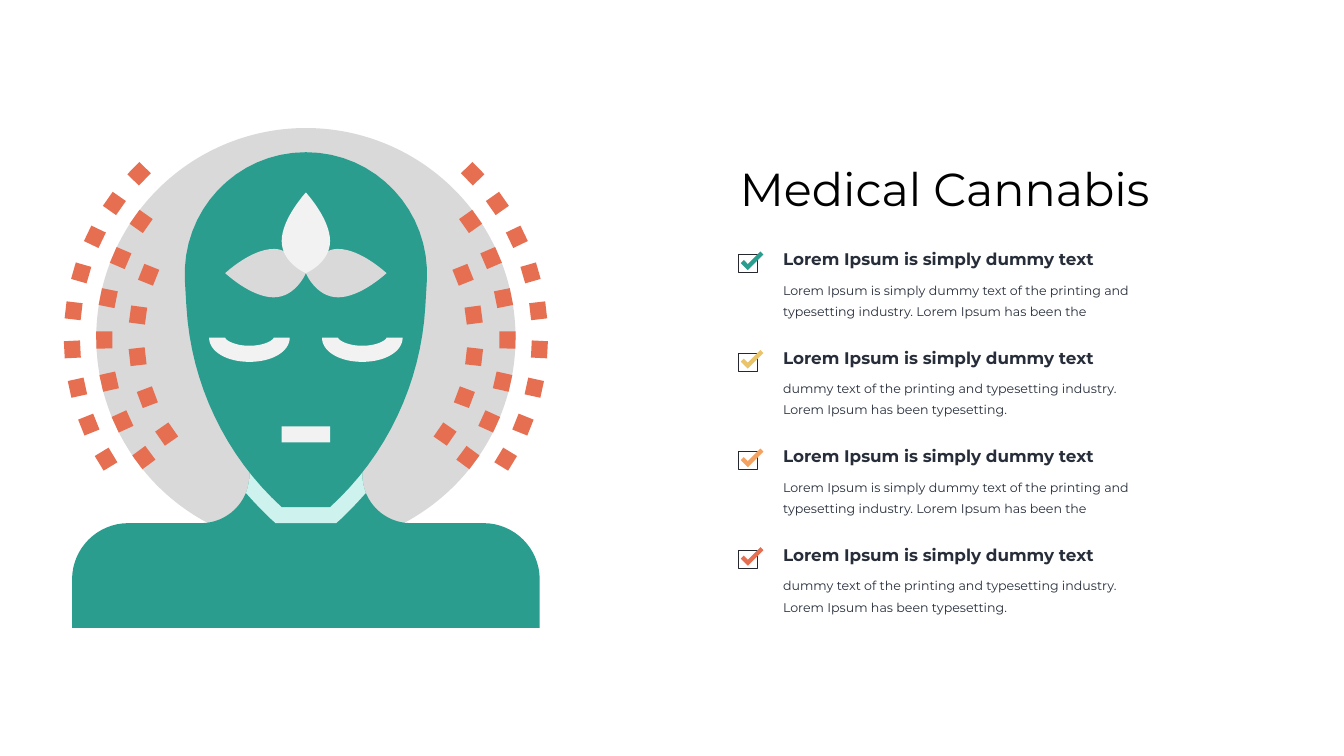
import math
import pptx
import pptx.dml.color
import pptx.enum.shapes
import pptx.enum.text
import pptx.util

WIDE, HIGH = 26.67, 15
FONT = "Montserrat"
AXIS = 6.07
HUB = 6.7
TEAL, CORAL, GRAY, PALE = "2A9D8F", "E76F51", "D9D9D9", "F2F2F2"
INK = "272E3A"
STEPS = 16

BODY = [(0, 9.1), (1.12, 9.1), (1.12, 9.42), (1.12, 9.95, 1.55, 10.38, 2.08, 10.38),
        (3.52, 10.38), (4.14, 10.38, 4.64, 10.88, 4.64, 11.5), (4.64, 12.46)]
NECK = [(1.12, 9.1), (1.12, 9.42), (1.12, 9.55, 1.15, 9.67, 1.19, 9.78),
        (1.03, 9.96, 0.87, 10.13, 0.69, 10.3), (0.6, 10.38)]
FACE = [(0, 3.02), (1.39, 3.02, 2.48, 4.19, 2.4, 5.58), (2.37, 6.09),
        (2.28, 7.61, 1.6, 9.04, 0.48, 10.06)]
LEAF = [(0.45, 4.98), (0.51, 4.95, 0.57, 4.94, 0.64, 4.94),
        (1.09, 4.94, 1.6, 5.42, 1.6, 5.42), (1.6, 5.42, 1.09, 5.9, 0.64, 5.9),
        (0.2, 5.9, 0, 5.42, 0, 5.42)]
BUD = [(0, 3.82), (0, 3.82, 0.48, 4.34, 0.48, 4.78), (0.48, 5.22, 0, 5.42, 0, 5.42)]
EYE = [(0, 7.18), (0.46, 7.18, 0.8, 6.97, 0.8, 6.7), (0.48, 6.7),
       (0.48, 6.74, 0.31, 6.86, 0, 6.86)]
TICK = [(0.1, 0.11), (0.18, 0.19), (0.43, -0.06), (0.49, 0), (0.18, 0.31),
        (0.12, 0.25), (0.04, 0.17)]

ARCS = [(3.36, 5, 34.7, -21.8), (4, 7, 36.5, -35.2), (4.64, 9, 31.3, -44.5)]

HEAD = "Lorem Ipsum is simply dummy text"
LONG = ("Lorem Ipsum is simply dummy text of the printing and typesetting industry. "
        "Lorem Ipsum has been the")
SHORT = "dummy text of the printing and typesetting industry. Lorem Ipsum has been typesetting."
ITEMS = [(TEAL, LONG), ("E9C46A", SHORT), ("F4A261", LONG), (CORAL, SHORT)]


def rgb(code):
    return pptx.dml.color.RGBColor.from_string(code)


def emu(*sizes):
    return [pptx.util.Inches(size) for size in sizes]


def paint(shape, fill=None, line=None):
    shape.shadow.inherit = False
    if fill:
        shape.fill.solid()
        shape.fill.fore_color.rgb = rgb(fill)
    else:
        shape.fill.background()
    if line:
        shape.line.color.rgb = rgb(line)
        shape.line.width = pptx.util.Pt(0.75)
    else:
        shape.line.fill.background()


def block(shapes, kind, box, fill=None, line=None):
    paint(shapes.add_shape(kind, *emu(*box)), fill, line)


def draw(shapes, rings, fill):
    pen = None
    for ring in rings:
        dots = [emu(*dot) for dot in ring]
        if pen is None:
            pen = shapes.build_freeform(*dots[0])
        else:
            pen.move_to(*dots[0])
        pen.add_line_segments(dots[1:], close=True)
    paint(pen.convert_to_shape(), fill)


def trace(steps):
    dots = []
    for step in steps:
        if len(step) == 2:
            dots.append(step)
            continue
        knots = [dots[-1], step[:2], step[2:4], step[4:]]
        for i in range(1, STEPS + 1):
            t = i / STEPS
            parts = [(1 - t) ** 3, 3 * t * (1 - t) ** 2, 3 * t * t * (1 - t), t ** 3]
            dots.append(tuple(sum(p * k[n] for p, k in zip(parts, knots)) for n in (0, 1)))
    return dots


def fold(shapes, half, fill, axis=AXIS):
    dots = trace(half)
    left = [(axis - x, y) for x, y in dots]
    right = [(axis + x, y) for x, y in reversed(dots)]
    draw(shapes, [left + right], fill)


def beads(shapes, side, reach, count, first, last):
    rings = []
    for i in range(count):
        turn = math.radians(first + (last - first) * i / (count - 1))
        c, s = math.cos(turn), math.sin(turn)
        rings.append([(AXIS + side * ((reach + u) * c - v * s), HUB + (reach + u) * s + v * c)
                      for u, v in ((-0.16, -0.17), (0.16, -0.17), (0.16, 0.17), (-0.16, 0.17))])
    draw(shapes, rings, CORAL)


def figure(shapes):
    kinds = pptx.enum.shapes.MSO_SHAPE
    block(shapes, kinds.OVAL, (AXIS - 4.16, HUB - 4.16, 8.32, 8.32), GRAY)
    for half, fill in ((BODY, TEAL), (NECK, "CEF2ED"), (FACE, TEAL), (LEAF, GRAY), (BUD, PALE)):
        fold(shapes, half, fill)
    block(shapes, kinds.RECTANGLE, (AXIS - 0.48, 8.46, 0.96, 0.32), PALE)
    for side in (-1, 1):
        fold(shapes, EYE, PALE, AXIS + side * 1.12)
    for side in (-1, 1):
        for arc in ARCS:
            beads(shapes, side, *arc)


def style(para, size, color, bold=False):
    para.font.name = FONT
    para.font.size = pptx.util.Pt(size)
    para.font.bold = bold
    para.font.color.rgb = rgb(color)


def label(shapes, box, text, size, bold=False, wrap=True, space=1):
    frame = shapes.add_textbox(*emu(*box)).text_frame
    frame.word_wrap = wrap
    frame.auto_size = pptx.enum.text.MSO_AUTO_SIZE.SHAPE_TO_FIT_TEXT
    para = frame.paragraphs[0]
    para.text = text
    para.line_spacing = space
    style(para, size, INK, bold)


def item(shapes, top, color, text):
    label(shapes, (15.44, top, 6.44, 0.5), HEAD, 24, bold=True, wrap=False)
    label(shapes, (15.44, top + 0.55, 7.16, 0.91), text, 18, space=1.4)
    left, edge = 14.66, top + 0.16
    block(shapes, pptx.enum.shapes.MSO_SHAPE.RECTANGLE, (left, edge, 0.36, 0.36), line="25292F")
    draw(shapes, [[(left + x, edge + y) for x, y in TICK]], color)


def title(shape, text):
    shape.left, shape.top, shape.width, shape.height = emu(14.58, 3.14, 13.48, 1.21)
    frame = shape.text_frame
    frame.text = text
    frame.word_wrap = True
    frame.auto_size = pptx.enum.text.MSO_AUTO_SIZE.NONE
    frame.vertical_anchor = pptx.enum.text.MSO_ANCHOR.TOP
    para = frame.paragraphs[0]
    para.alignment = pptx.enum.text.PP_ALIGN.LEFT
    style(para, 66, "000000")


def main():
    deck = pptx.Presentation()
    deck.slide_width, deck.slide_height = emu(WIDE, HIGH)
    slide = deck.slides.add_slide(deck.slide_layouts[5])
    title(slide.shapes.title, "Medical Cannabis")
    figure(slide.shapes.add_group_shape().shapes)
    rows = slide.shapes.add_group_shape().shapes
    for i, (color, text) in enumerate(ITEMS):
        item(rows, 4.89 + 1.955 * i, color, text)
    deck.save("out.pptx")


if __name__ == "__main__":
    main()
